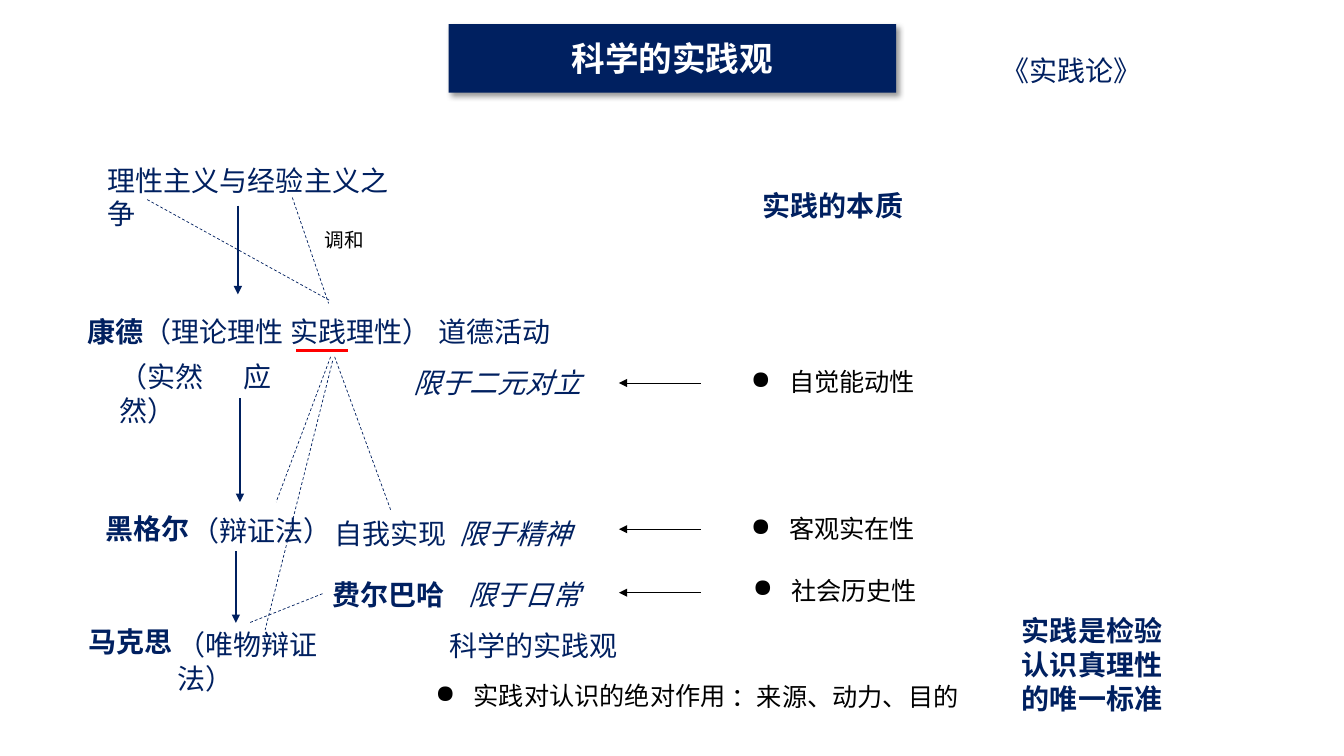
"""Build a slide tracing the concept of practice from Kant to Marx."""
import pptx
import pptx.dml.color
import pptx.enum.dml
import pptx.enum.shapes
import pptx.enum.text
import pptx.oxml
import pptx.oxml.ns
import pptx.util

COLORS = {"navy": "002060", "red": "FF0000", "black": "000000", "white": "FFFFFF"}
FONT = "Noto Sans CJK SC"
CELL = 0.1
SLIDE_COLUMNS, SLIDE_ROWS = 133.33, 75
TITLE = "科学的实践观"
TITLE_AREA = (44.5, 2.4, 44.4, 6.8)

PLAIN_TEXTS = [
    ("理性主义与经验主义之争", 9.7, 15.7),
    ("（实然\t应然）", 10.9, 35.2),
    ("道德活动", 42.5, 30.7),
    ("（辩证法）", 18, 50.4),
    ("自我实现", 32.2, 50.7),
    ("（唯物辩证法）", 16.6, 61.8),
    ("科学的实践观", 43.6, 61.9),
    ("《实践论》", 98.4, 4.8),
]
BOLD_TEXTS = [
    ("费尔巴哈", 32, 56.8),
    ("马克思", 7.8, 61.5),
    ("黑格尔", 9.5, 50.3),
    ("实践的本质", 74.7, 18.2),
    ("实践是检验\n认识真理性\n的唯一标准", 100.4, 60.4),
]
LIMITS = [
    ("限于二元对立", 40, 35.8),
    ("限于精神", 44.6, 50.7),
    ("限于日常", 45.5, 56.8),
]
BULLETS = [
    ("自觉能动性", 73.5, 36.2),
    ("客观实在性", 73.5, 50.8),
    ("社会历史性", 73.7, 56.9),
    ("实践对认识的绝对作用", 42.2, 67.4),
]
DASHED_LINES = [
    (14.6, 19.8, 32.7, 29.8),
    (29, 19.6, 32.6, 30.1),
    (33.2, 35.4, 38.8, 50.7),
    (32, 58.9, 24.7, 61.8),
    (32.8, 35.4, 27.4, 49.8),
    (33, 35.8, 26.3, 62.5),
]
DOWN_ARROWS = [(23.6, 20.4, 29.2), (23.8, 39.5, 49.8), (23.4, 54.7, 61.8)]
LEFT_ARROW_ROWS = [38, 52.5, 58.8]
LEFT_ARROW_COLUMNS = (69.5, 61.4)
UNDERLINE = (29.4, 34.8, 34.5, 34.8)


def cells(count):
    return pptx.util.Inches(count * CELL)


def rgb(name):
    return pptx.dml.color.RGBColor.from_string(COLORS[name])


def element(xml):
    return pptx.oxml.parse_xml(xml.replace("/>", f" {pptx.oxml.ns.nsdecls('a')}/>", 1)
                               if xml.endswith("/>") and xml.count("<") == 1
                               else xml.replace(">", f" {pptx.oxml.ns.nsdecls('a')}>", 1))


def format_run(run, size, color, bold, italic):
    run.font.name = FONT
    run.font.size = pptx.util.Pt(size)
    run.font.color.rgb = rgb(color)
    run.font.bold = bold
    run.font.italic = italic
    latin = run.font._element.find(pptx.oxml.ns.qn("a:latin"))
    latin.addnext(element(f'<a:ea typeface="{FONT}"/>'))


def add_bullet(paragraph):
    properties = paragraph._p.get_or_add_pPr()
    properties.set("marL", str(pptx.util.Inches(0.38)))
    properties.set("indent", str(pptx.util.Inches(-0.38)))
    properties.append(element('<a:buChar char="●"/>'))
    paragraph.alignment = pptx.enum.text.PP_ALIGN.JUSTIFY
    paragraph.line_spacing = pptx.util.Pt(19)


def add_tab_stop(paragraph, position):
    tabs = element('<a:tabLst><a:tab algn="l"/></a:tabLst>')
    tabs[0].set("pos", str(pptx.util.Inches(position)))
    paragraph._p.get_or_add_pPr().append(tabs)


def add_text(slide, text, column, row, size=20, color="navy", bold=False,
             italic=False, bullet=False, plain_ending=""):
    lines = text.split("\n")
    characters = len(lines[0] + plain_ending)
    width = characters * size / 72 + 0.2 + (0.38 if bullet else 0)
    height = len(lines) * (19 if bullet else size * 1.2) / 72 + 0.1
    box = slide.shapes.add_textbox(cells(column), cells(row),
                                   pptx.util.Inches(width), pptx.util.Inches(height))
    frame = box.text_frame
    frame.word_wrap = False
    frame.auto_size = pptx.enum.text.MSO_AUTO_SIZE.SHAPE_TO_FIT_TEXT
    for index, line in enumerate(lines):
        paragraph = frame.add_paragraph() if index else frame.paragraphs[0]
        if bullet:
            add_bullet(paragraph)
        if "\t" in line:
            add_tab_stop(paragraph, 1.23)
        run = paragraph.add_run()
        run.text = line
        format_run(run, size, color, bold, italic)
    if plain_ending:
        run = paragraph.add_run()
        run.text = plain_ending
        format_run(run, size, color, False, italic)


def add_line(slide, ends, width, color="navy", dashed=False, arrow=False):
    connector = slide.shapes.add_connector(
        pptx.enum.shapes.MSO_CONNECTOR.STRAIGHT, *map(cells, ends))
    connector.line.width = pptx.util.Pt(width)
    connector.line.color.rgb = rgb(color)
    if dashed:
        connector.line.dash_style = pptx.enum.dml.MSO_LINE.DASH
    if arrow:
        connector.line._get_or_add_ln().append(element('<a:tailEnd type="triangle"/>'))
    connector._element.spPr.append(element("<a:effectLst/>"))


def format_title(title):
    title.left, title.top, title.width, title.height = map(cells, TITLE_AREA)
    properties = title._element.spPr
    properties.insert(1, element('<a:prstGeom prst="roundRect"><a:avLst/></a:prstGeom>'))
    title.fill.solid()
    title.fill.fore_color.rgb = rgb("navy")
    title.line.fill.background()
    properties.append(element(
        '<a:effectLst><a:outerShdw blurRad="50800" dist="38100" dir="2700000" algn="tl">'
        f'<a:srgbClr val="{COLORS["black"]}"><a:alpha val="40000"/></a:srgbClr>'
        '</a:outerShdw></a:effectLst>'))
    frame = title.text_frame
    frame.vertical_anchor = pptx.enum.text.MSO_ANCHOR.MIDDLE
    paragraph = frame.paragraphs[0]
    paragraph.alignment = pptx.enum.text.PP_ALIGN.CENTER
    run = paragraph.add_run()
    run.text = TITLE
    format_run(run, 24, "white", True, False)


def main():
    presentation = pptx.Presentation()
    presentation.slide_width = cells(SLIDE_COLUMNS)
    presentation.slide_height = cells(SLIDE_ROWS)
    slide = presentation.slides.add_slide(presentation.slide_layouts[5])
    format_title(slide.shapes.title)

    for ends in DASHED_LINES:
        add_line(slide, ends, 0.5, dashed=True)
    for column, top, bottom in DOWN_ARROWS:
        add_line(slide, (column, top, column, bottom), 1.5, arrow=True)
    start, end = LEFT_ARROW_COLUMNS
    for row in LEFT_ARROW_ROWS:
        add_line(slide, (start, row, end, row), 0.5, color="black", arrow=True)
    add_line(slide, UNDERLINE, 2.25, color="red")

    for text, column, row in PLAIN_TEXTS:
        add_text(slide, text, column, row)
    for text, column, row in BOLD_TEXTS:
        add_text(slide, text, column, row, bold=True)
    for text, column, row in LIMITS:
        add_text(slide, text, column, row, italic=True)
    for text, column, row in BULLETS:
        add_text(slide, text, column, row, size=18, color="black", bullet=True)
    add_text(slide, "康德", 7.7, 30.7, bold=True, plain_ending="（理论理性 实践理性）")
    add_text(slide, "调和", 31.2, 22.1, size=14, color="black")
    add_text(slide, "：来源、动力、目的", 71.6, 67.1, size=18, color="black")
    presentation.save("out.pptx")


if __name__ == "__main__":
    main()
